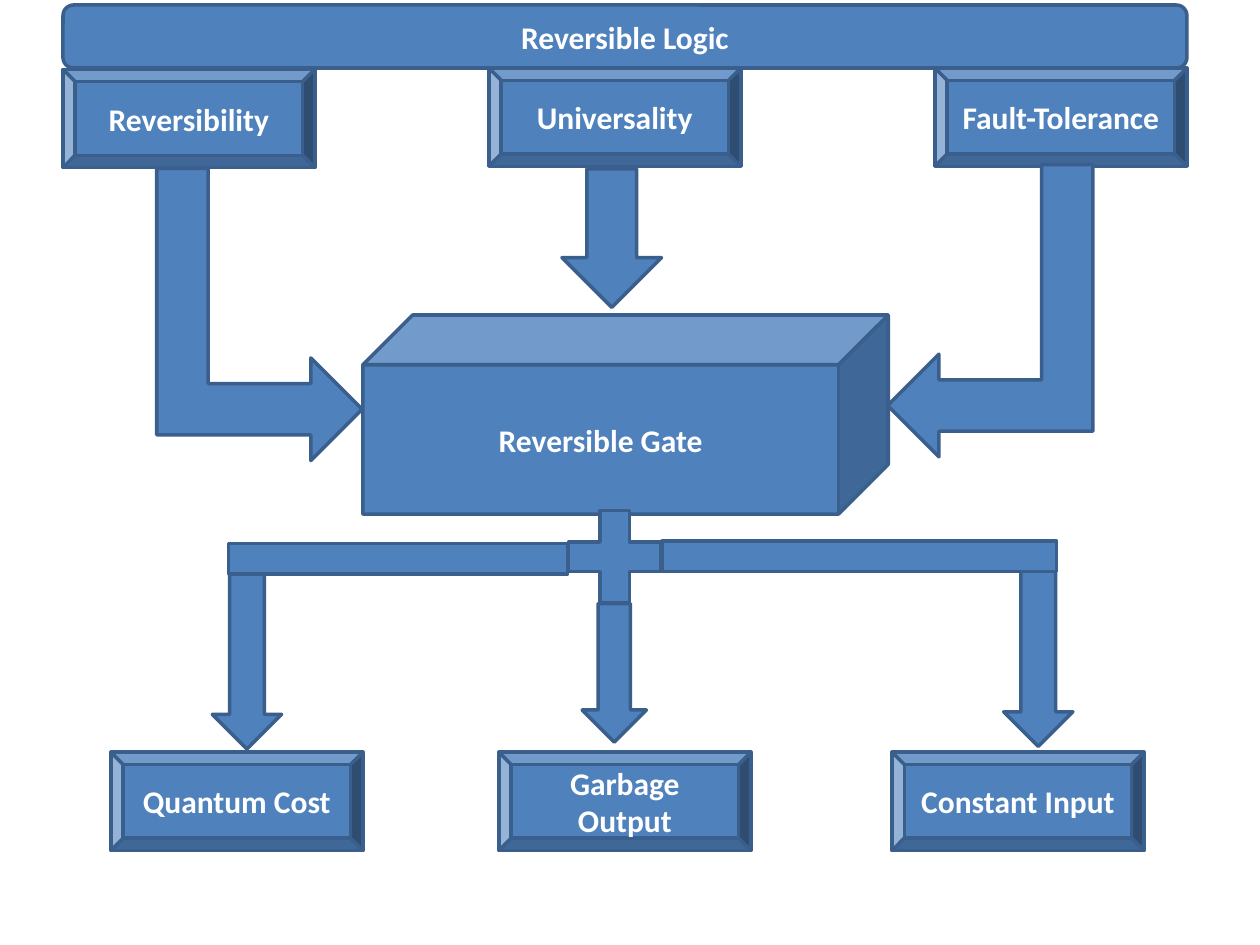
from dataclasses import dataclass

import pptx
import pptx.dml.color
import pptx.enum.shapes
import pptx.enum.text
import pptx.oxml.ns
import pptx.shapes.autoshape
import pptx.util

MSO = pptx.enum.shapes.MSO_SHAPE
BLUE = pptx.dml.color.RGBColor(0x4F, 0x81, 0xBD)
EDGE = pptx.dml.color.RGBColor(0x3A, 0x5F, 0x8C)
WHITE = pptx.dml.color.RGBColor(0xFF, 0xFF, 0xFF)

# Grid of square cells covering the slide
COLS, ROWS = 100, 75
CELL = pptx.util.Inches(10) // COLS
BOX_W, BOX_H = 20, 7.8


@dataclass(frozen=True)
class Block:
    """A shape placed by grid column and row, with its size in cells."""
    kind: MSO
    col: float
    row: float
    w: float
    h: float
    text: str = ""
    rot: float = 0
    flip: str = ""


def bevel(text: str, col: float, row: float) -> Block:
    return Block(MSO.BEVEL, col, row, BOX_W, BOX_H, text)


def add_label(sp: pptx.shapes.autoshape.Shape, text: str) -> None:
    tf = sp.text_frame
    tf.word_wrap = True
    tf.vertical_anchor = pptx.enum.text.MSO_ANCHOR.MIDDLE
    p = tf.paragraphs[0]
    p.alignment = pptx.enum.text.PP_ALIGN.CENTER
    r = p.add_run()
    r.text = text
    r.font.name = "Calibri"
    r.font.size = pptx.util.Pt(18)
    r.font.bold = True
    r.font.color.rgb = WHITE


def draw(shapes, b: Block) -> None:
    """Draw a block on a slide's or a group's shapes."""
    box = (round(n * CELL) for n in (b.col, b.row, b.w, b.h))
    sp = shapes.add_shape(b.kind, *box)
    sp.shadow.inherit = False
    sp.fill.solid()
    sp.fill.fore_color.rgb = BLUE
    sp.line.color.rgb = EDGE
    sp.line.width = pptx.util.Pt(2)
    sp.rotation = b.rot
    xfrm = sp.element.spPr.find(pptx.oxml.ns.qn("a:xfrm"))
    for axis in b.flip:
        xfrm.set(f"flip{axis}", "1")
    if b.text:
        add_label(sp, b.text)


# Banner, gate and the three properties
PROPERTIES = [
    Block(MSO.ROUNDED_RECTANGLE, 5, 0.4, 89.2, 5, "Reversible Logic"),
    Block(MSO.CUBE, 28.8, 25, 41.7, 15.8, "Reversible Gate"),
    bevel("Reversibility", 5, 5.5),
    bevel("Universality", 38.8, 5.4),
    bevel("Fault-Tolerance", 74.2, 5.4),
    Block(MSO.DOWN_ARROW, 44.6, 13.4, 7.9, 11),
]

# The three costs and the middle branch
COST_ROW = 59.7
COSTS = [
    bevel("Quantum Cost", 8.8, COST_ROW),
    bevel("Garbage Output", 39.6, COST_ROW),
    bevel("Constant Input", 70.8, COST_ROW),
    Block(MSO.DOWN_ARROW, 46.2, 47.9, 5.1, 11),
    Block(MSO.MATH_PLUS, 43.8, 39.2, 10, 10),
]

# Side branches: an arrow and a bar, grouped
BRANCHES = [
    [Block(MSO.RIGHT_ARROW, 12.3, 49.4, 14.6, 5.5, rot=90),
     Block(MSO.FLOWCHART_PROCESS, 30.4, 30.9, 2.4, 26.9, rot=90)],
    [Block(MSO.RIGHT_ARROW, 75.1, 49.2, 14.6, 5.5, rot=270, flip="H"),
     Block(MSO.FLOWCHART_PROCESS, 67, 28.5, 2.4, 31.3, rot=270, flip="H")],
]

# Bent arrows from the outer properties into the gate
BENDS = [
    Block(MSO.BENT_UP_ARROW, 9, 16.8, 23.2, 16.3, rot=270, flip="HV"),
    Block(MSO.BENT_UP_ARROW, 67, 16.5, 23.2, 16.3, rot=90, flip="V"),
]


def main() -> None:
    prs = pptx.Presentation()
    prs.slide_width = COLS * CELL
    prs.slide_height = ROWS * CELL
    s = prs.slides.add_slide(prs.slide_layouts[6])
    for b in PROPERTIES + COSTS:
        draw(s.shapes, b)
    for branch in BRANCHES:
        group = s.shapes.add_group_shape()
        for b in branch:
            draw(group.shapes, b)
    for b in BENDS:
        draw(s.shapes, b)
    prs.save("out.pptx")


if __name__ == "__main__":
    main()
